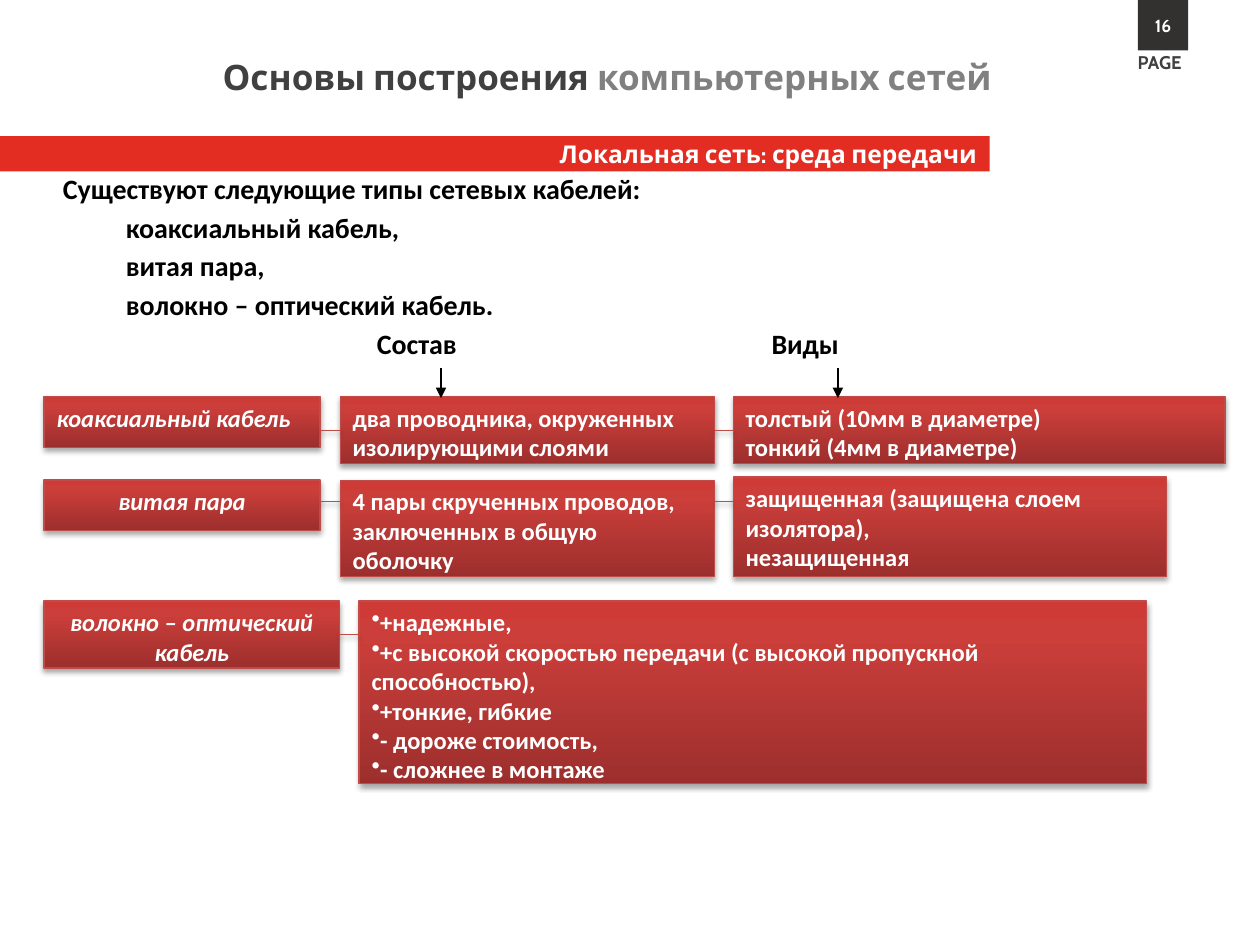
from copy import deepcopy

from pptx import Presentation
from pptx.dml.color import RGBColor
from pptx.enum.shapes import MSO_CONNECTOR as Connector, MSO_SHAPE as Shape
from pptx.enum.text import MSO_ANCHOR as Anchor, PP_ALIGN as Align
from pptx.oxml.ns import qn
from pptx.oxml.xmlchemy import OxmlElement
from pptx.util import Pt

RED = "BF4C48"
GRADIENT = [(0, "9C2F2D"), (0.8, "CB3E3A"), (1, "CE3B37")]
NAME_LEFT, PARTS_LEFT, KINDS_LEFT = 25.2, 194.4, 419
NAME_WIDTH, PARTS_WIDTH = 157.7, 213.8
COAXIAL_TOP, PAIR_TOP, FIBRE_TOP = 226.8, 274.4, 343.5
TWO_LINES = 38.2


def color(code):
    return RGBColor.from_string(code)


def add_child(parent, tag, **attributes):
    child = OxmlElement(tag)
    for name, value in attributes.items():
        child.set(name, str(value))
    parent.append(child)
    return child


def style(para, size, code, font="Calibri", italic=None):
    for span in para.runs:
        span.font.name = font
        span.font.size = Pt(size)
        span.font.bold = True
        span.font.italic = italic
        span.font.color.rgb = color(code)


def add_shadow(properties):
    effects = properties.find(qn("a:effectLst"))
    if effects is None:
        effects = add_child(properties, "a:effectLst")
    shadow = add_child(effects, "a:outerShdw", blurRad=Pt(3.1), dist=Pt(1.8),
                       dir=5400000, rotWithShape=0)
    tone = add_child(shadow, "a:srgbClr", val="000000")
    add_child(tone, "a:alpha", val=35000)


def add_label(page, text, area, size, code="FFFFFF", align=Align.LEFT, wrap=True):
    box = page.shapes.add_textbox(*map(Pt, area))
    box.text_frame.word_wrap = wrap
    box.text_frame.text = text
    para = box.text_frame.paragraphs[0]
    para.alignment = align
    style(para, size, code, "Cabin")
    return para


def add_band(page, text, area, fill, size, align):
    band = page.shapes.add_shape(Shape.RECTANGLE, *map(Pt, area))
    band.shadow.inherit = False
    band.fill.solid()
    band.fill.fore_color.rgb = color(fill)
    band.line.fill.background()
    band.text_frame.vertical_anchor = Anchor.MIDDLE
    band.text_frame.text = text
    para = band.text_frame.paragraphs[0]
    para.alignment = align
    style(para, size, "FFFFFF", "Cabin")


def fill_gradient(box):
    box.fill.gradient()
    box.fill.gradient_angle = 90
    stop_list = box._element.spPr.find(".//" + qn("a:gsLst"))
    stop_list.append(deepcopy(stop_list[-1]))
    for stop, (position, code) in zip(box.fill.gradient_stops, GRADIENT):
        stop.position = position
        stop.color.rgb = color(code)


def add_box(page, lines, area, align=Align.LEFT, italic=None, bullet=False):
    box = page.shapes.add_shape(Shape.RECTANGLE, *map(Pt, area))
    fill_gradient(box)
    box.line.color.rgb = color(RED)
    box.line.width = Pt(0.75)
    box.shadow.inherit = False
    add_shadow(box._element.spPr)
    frame = box.text_frame
    frame.vertical_anchor = Anchor.TOP
    frame.text = "\n".join(lines)
    for para in frame.paragraphs:
        para.alignment = align
        if bullet:
            add_child(para._p.get_or_add_pPr(), "a:buChar", char="•")
        style(para, 14, "FFFFFF", italic=italic)
    return box


def add_line(page, start, end, code):
    line = page.shapes.add_connector(Connector.STRAIGHT, *map(Pt, start + end))
    line.line.color.rgb = color(code)
    line.line.width = Pt(0.75)
    return line


def add_link(page, left, right, y, begin=None, finish=None):
    link = add_line(page, (left, y), (right, y), RED)
    add_shadow(link._element.spPr)
    if begin:
        link.begin_connect(begin, 3)
    if finish:
        link.end_connect(finish, 1)


def add_arrow(page, x):
    arrow = add_line(page, (x, 210.2), (x, 227.5), "000000")
    add_child(arrow.line._get_or_add_ln(), "a:tailEnd", type="triangle")
    add_child(arrow._element.spPr, "a:effectLst")


def add_introduction(page):
    box = page.shapes.add_textbox(Pt(28.8), Pt(94.3), Pt(630), Pt(345.6))
    frame = box.text_frame
    frame.word_wrap = True
    cables = ["коаксиальный кабель,", "витая пара,", "волокно – оптический кабель."]
    frame.text = "\n".join(["Существуют следующие типы сетевых кабелей:", *cables,
                            "\tСостав\tВиды"])
    paras = frame.paragraphs
    for para in paras[1:]:
        para.space_before = Pt(3)
    for para in paras[1:-1]:
        para.level = 1
        para._p.get_or_add_pPr().set("marL", str(Pt(36)))
        para._p.get_or_add_pPr().set("indent", "0")
    tabs = add_child(paras[-1]._p.get_or_add_pPr(), "a:tabLst")
    for position in (179.5, 405):
        add_child(tabs, "a:tab", pos=Pt(position), algn="l")
    for para in paras:
        style(para, 16, "000000")


def add_header(page):
    add_band(page, "Локальная сеть: среда передачи", (0, 77.8, 565.5, 20.2),
             "E32C22", 14, Align.RIGHT)
    add_label(page, "PAGE", (643, 25.9, 42.5, 20.2), 10.5, "404040", wrap=False)
    add_band(page, "16", (650.2, 0, 28.8, 28.8), "333030", 10, Align.CENTER)
    title = add_label(page, "Основы построения ", (10.8, 28.1, 563, 31.7), 20,
                      "404040", Align.RIGHT)
    title.add_run().text = "компьютерных сетей"
    style(title, 20, "404040", "Cabin")
    title.runs[1].font.color.rgb = color("808080")


def add_cables(page):
    name_right = NAME_LEFT + NAME_WIDTH
    parts_right = PARTS_LEFT + PARTS_WIDTH
    add_box(page, ["коаксиальный кабель"],
            (NAME_LEFT, COAXIAL_TOP, NAME_WIDTH, 28.8), italic=True)
    add_box(page, ["витая пара"], (NAME_LEFT, PAIR_TOP, NAME_WIDTH, 28.8),
            Align.CENTER, True)
    fibre = add_box(page, ["волокно – оптический кабель"],
                    (NAME_LEFT, FIBRE_TOP, 168.9, TWO_LINES), Align.CENTER, True)

    coaxial_parts = add_box(page, ["два проводника, окруженных изолирующими слоями"],
                            (PARTS_LEFT, COAXIAL_TOP, PARTS_WIDTH, TWO_LINES))
    coaxial_kinds = add_box(page, ["толстый (10мм в диаметре)", "тонкий (4мм в диаметре)"],
                            (KINDS_LEFT, COAXIAL_TOP, 281, TWO_LINES))
    coaxial_middle = COAXIAL_TOP + TWO_LINES / 2
    add_link(page, name_right, PARTS_LEFT, coaxial_middle, finish=coaxial_parts)
    add_link(page, parts_right, KINDS_LEFT, coaxial_middle, coaxial_parts, coaxial_kinds)

    add_box(page, ["4 пары скрученных проводов, заключенных в общую оболочку"],
            (PARTS_LEFT, PAIR_TOP, PARTS_WIDTH, 55.2))
    add_box(page, ["защищенная (защищена слоем изолятора),", "незащищенная"],
            (KINDS_LEFT, 272.6, 247.7, 57))
    for left, right in ((name_right, PARTS_LEFT), (parts_right, KINDS_LEFT)):
        add_link(page, left, right, 286.6)

    add_box(page, ["+надежные,",
                   "+с высокой скоростью передачи (с высокой пропускной способностью),",
                   "+тонкие, гибкие", "- дороже стоимость,", "- сложнее в монтаже"],
            (205.2, FIBRE_TOP, 450, 104.4), bullet=True)
    add_link(page, NAME_LEFT + 168.9, 205.2, FIBRE_TOP + TWO_LINES / 2, fibre)


def main():
    deck = Presentation()
    deck.slide_width, deck.slide_height = Pt(720), Pt(540)
    page = deck.slides.add_slide(deck.slide_layouts[6])
    add_header(page)
    add_introduction(page)
    add_cables(page)
    for x in (252, 478.8):
        add_arrow(page, x)
    deck.save("out.pptx")


if __name__ == "__main__":
    main()
